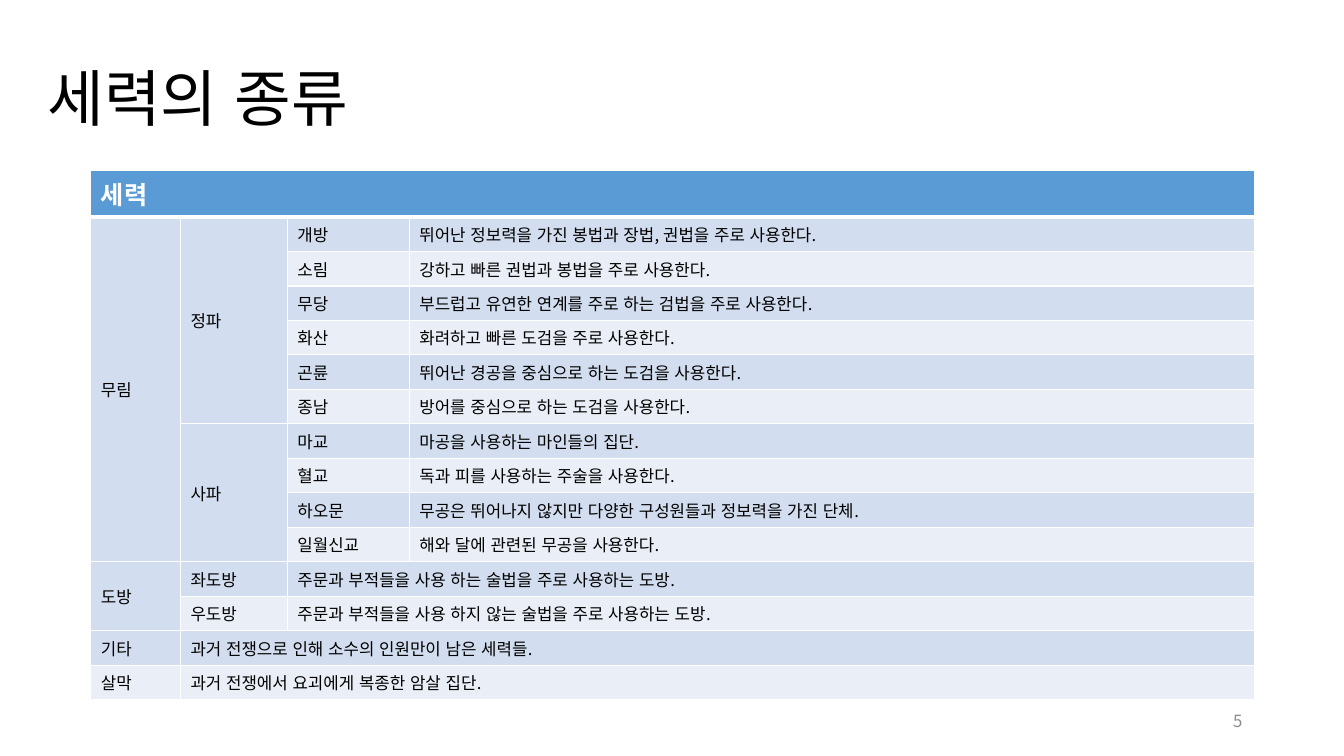
from dataclasses import dataclass

from lxml import etree
from pptx import Presentation
from pptx import util as u
from pptx.dml.color import RGBColor
from pptx.enum import lang, text
from pptx.oxml.ns import qn


@dataclass(frozen=True)
class Theme:
    font: str = "Noto Sans CJK KR"
    ink: str = "000000"
    white: str = "FFFFFF"
    muted: str = "8C8C8C"
    header: str = "5B9BD5"
    bands: tuple[str, str] = ("EAEFF7", "D2DEEF")
    title_pt: int = 44
    header_pt: int = 18
    body_pt: int = 12
    rule_pt: int = 1
    header_rule_pt: int = 3


@dataclass(frozen=True)
class Entry:
    label: str
    col: int
    rows: int = 1
    cols: int = 1


THEME = Theme()
COLUMN_WIDTHS = (0.89, 1.06, 1.21, 8.38)
HEADER_HEIGHT = 0.46
ROW_HEIGHT = 0.32
FACTIONS: list[list[Entry]] = [
    [Entry("세력", 0, cols=4)],
    [Entry("무림", 0, rows=10), Entry("정파", 1, rows=6), Entry("개방", 2),
     Entry("뛰어난 정보력을 가진 봉법과 장법, 권법을 주로 사용한다.", 3)],
    [Entry("소림", 2), Entry("강하고 빠른 권법과 봉법을 주로 사용한다.", 3)],
    [Entry("무당", 2), Entry("부드럽고 유연한 연계를 주로 하는 검법을 주로 사용한다.", 3)],
    [Entry("화산", 2), Entry("화려하고 빠른 도검을 주로 사용한다.", 3)],
    [Entry("곤륜", 2), Entry("뛰어난 경공을 중심으로 하는 도검을 사용한다.", 3)],
    [Entry("종남", 2), Entry("방어를 중심으로 하는 도검을 사용한다.", 3)],
    [Entry("사파", 1, rows=4), Entry("마교", 2), Entry("마공을 사용하는 마인들의 집단.", 3)],
    [Entry("혈교", 2), Entry("독과 피를 사용하는 주술을 사용한다.", 3)],
    [Entry("하오문", 2), Entry("무공은 뛰어나지 않지만 다양한 구성원들과 정보력을 가진 단체.", 3)],
    [Entry("일월신교", 2), Entry("해와 달에 관련된 무공을 사용한다.", 3)],
    [Entry("도방", 0, rows=2), Entry("좌도방", 1),
     Entry("주문과 부적들을 사용 하는 술법을 주로 사용하는 도방.", 2, cols=2)],
    [Entry("우도방", 1),
     Entry("주문과 부적들을 사용 하지 않는 술법을 주로 사용하는 도방.", 2, cols=2)],
    [Entry("기타", 0), Entry("과거 전쟁으로 인해 소수의 인원만이 남은 세력들.", 1, cols=3)],
    [Entry("살막", 0), Entry("과거 전쟁에서 요괴에게 복종한 암살 집단.", 1, cols=3)],
]


def write(tf, content: str, size: int, color: str, bold: bool = False):
    tf.text = content
    p = tf.paragraphs[0]
    font = p.runs[0].font
    font.size = u.Pt(size)
    font.bold = bold
    font.name = THEME.font
    font.color.rgb = RGBColor.from_string(color)
    font.language_id = lang.MSO_LANGUAGE_ID.KOREAN
    rpr = p.runs[0]._r.get_or_add_rPr()
    etree.SubElement(rpr, qn("a:ea"), typeface=THEME.font)
    return p


def add_border(cell, side: str, width: int) -> None:
    ln = etree.SubElement(cell._tc.get_or_add_tcPr(), qn(f"a:{side}"), w=str(u.Pt(width)))
    fill = etree.SubElement(ln, qn("a:solidFill"))
    etree.SubElement(fill, qn("a:srgbClr"), val=THEME.white)


def style_cell(cell, row: int) -> None:
    heavy_side = {0: "lnB", 1: "lnT"}.get(row)
    for side in ("lnL", "lnR", "lnT", "lnB"):
        add_border(cell, side, THEME.header_rule_pt if side == heavy_side else THEME.rule_pt)
    cell.fill.solid()
    color = THEME.bands[row % 2] if row else THEME.header
    cell.fill.fore_color.rgb = RGBColor.from_string(color)


def add_title(s, content: str) -> None:
    title = s.shapes.title
    title.left, title.top = u.Inches(0.37), u.Inches(0.42)
    title.width, title.height = u.Inches(12.6), u.Inches(1.17)
    tf = title.text_frame
    tf.auto_size = text.MSO_AUTO_SIZE.NONE
    tf.vertical_anchor = text.MSO_ANCHOR.MIDDLE
    p = write(tf, content, THEME.title_pt, THEME.ink)
    p.alignment = text.PP_ALIGN.LEFT
    p.line_spacing = 0.9


def add_page_number(s, number: str) -> None:
    sp = s.shapes.add_textbox(u.Inches(9.42), u.Inches(6.95), u.Inches(3), u.Inches(0.4))
    tf = sp.text_frame
    tf.word_wrap = True
    tf.vertical_anchor = text.MSO_ANCHOR.MIDDLE
    write(tf, number, THEME.body_pt, THEME.muted).alignment = text.PP_ALIGN.RIGHT


def add_faction_table(s) -> None:
    height = HEADER_HEIGHT + ROW_HEIGHT * (len(FACTIONS) - 1)
    table = s.shapes.add_table(
        len(FACTIONS), len(COLUMN_WIDTHS), u.Inches(0.9), u.Inches(1.69),
        u.Inches(sum(COLUMN_WIDTHS)), u.Inches(height)).table
    for column, width in zip(table.columns, COLUMN_WIDTHS):
        column.width = u.Inches(width)
    for i, row in enumerate(table.rows):
        row.height = u.Inches(ROW_HEIGHT if i else HEADER_HEIGHT)
        for cell in row.cells:
            style_cell(cell, i)
    for i, entries in enumerate(FACTIONS):
        for entry in entries:
            cell = table.cell(i, entry.col)
            if entry.rows * entry.cols > 1:
                cell.merge(table.cell(i + entry.rows - 1, entry.col + entry.cols - 1))
            if i:
                cell.vertical_anchor = text.MSO_ANCHOR.MIDDLE
                write(cell.text_frame, entry.label, THEME.body_pt, THEME.ink)
            else:
                write(cell.text_frame, entry.label, THEME.header_pt, THEME.white, bold=True)


def main() -> None:
    prs = Presentation()
    prs.slide_width, prs.slide_height = u.Inches(13.33), u.Inches(7.5)
    s = prs.slides.add_slide(prs.slide_layouts[5])
    add_title(s, "세력의 종류")
    add_faction_table(s)
    add_page_number(s, "5")
    prs.save("out.pptx")


if __name__ == "__main__":
    main()
